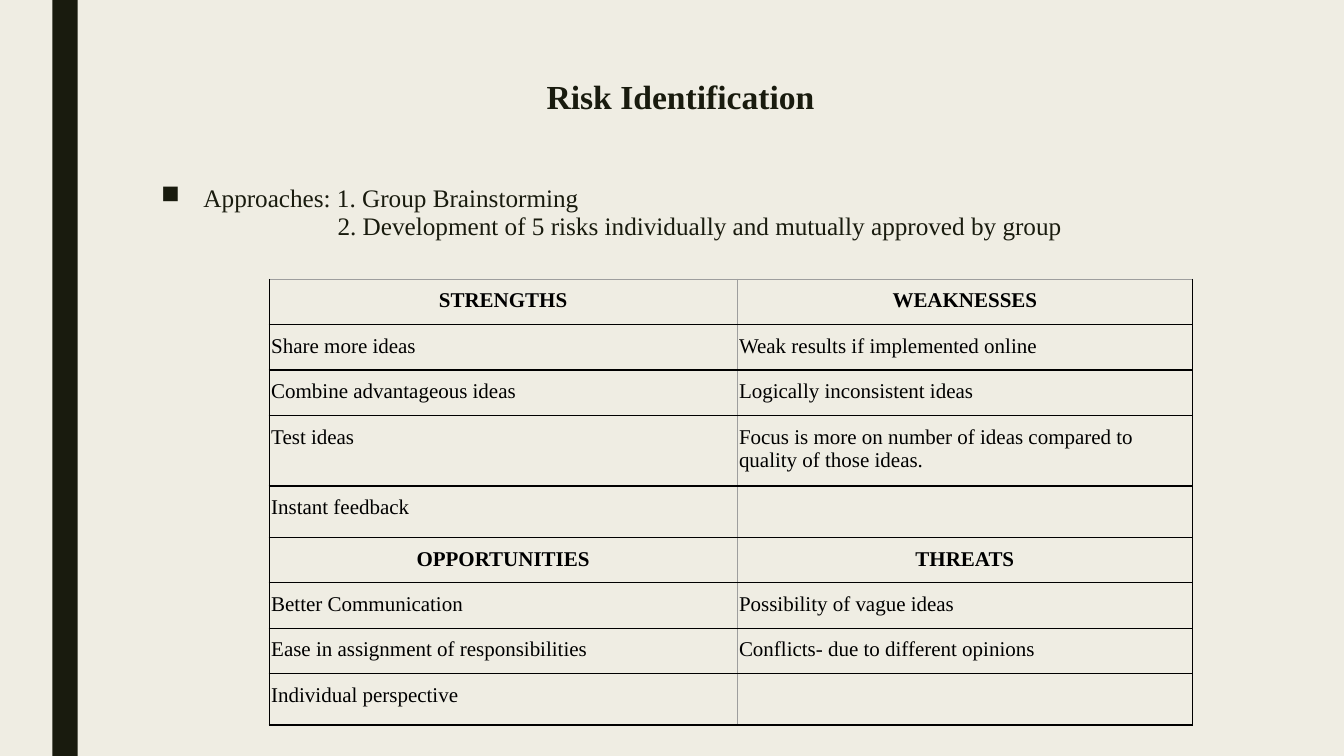
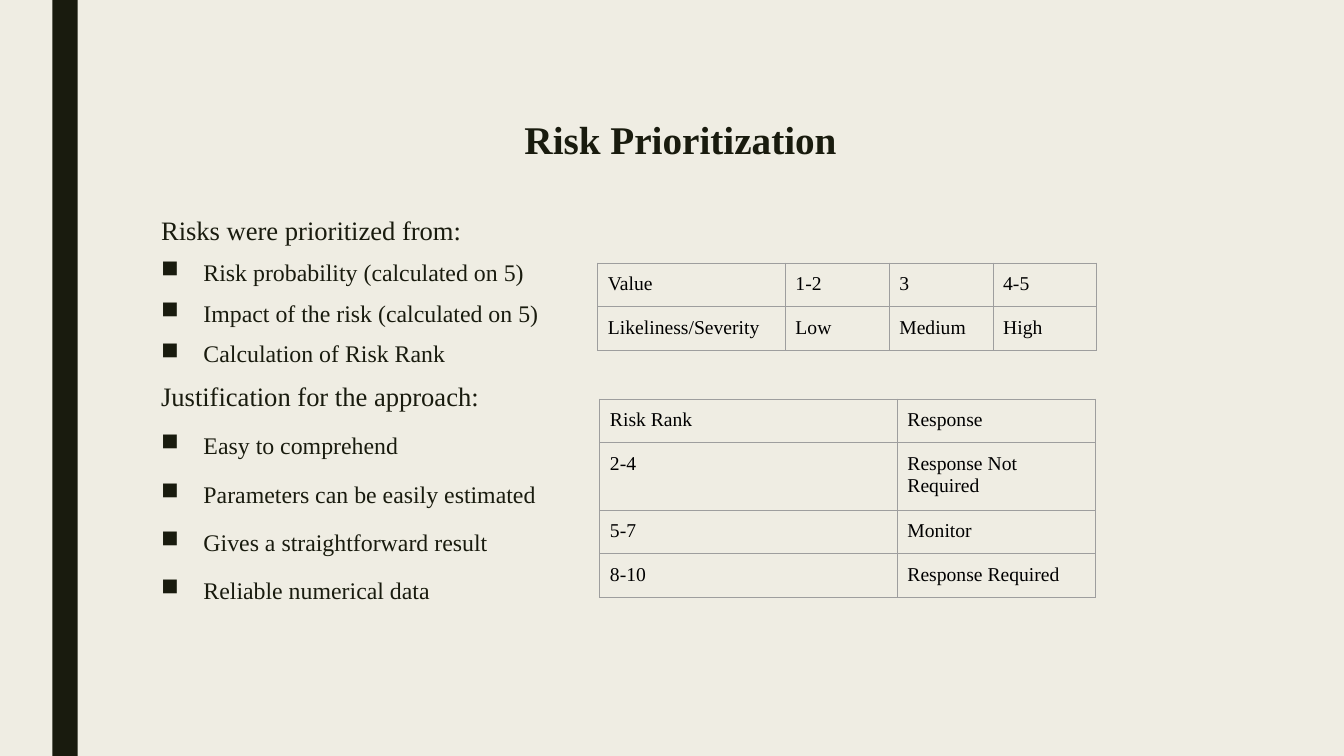
from dataclasses import dataclass

from lxml import etree
from pptx import Presentation, util as u
from pptx.dml.color import RGBColor
from pptx.enum import shapes, text
from pptx.oxml import ns


@dataclass(frozen=True)
class Theme:
    font: str = "Times New Roman"
    paper: str = "EFEDE3"
    ink: str = "191B0E"
    black: str = "000000"
    rule: str = "9E9E9E"
    approach: int = 18
    lead: int = 19
    point: int = 17
    swot: int = 15
    scale: int = 14


THEME = Theme()
HANGING = 0.42
SWOT_HEADINGS = ("STRENGTHS", "WEAKNESSES", "OPPORTUNITIES", "THREATS")


def line(words, size, spacing, before=0, bullet=False, indent=0):
    return dict(words=words, size=size, spacing=spacing, before=before,
                bullet=bullet, indent=indent)


def lead(words, before=12):
    return line(words, THEME.lead, 0.84, before)


def points(spacing, *items):
    return [line(item, THEME.point, spacing, 12, bullet=True) for item in items]


SLIDES = [
    dict(
        title="Risk Identification", title_top=0.75, title_size=24,
        body_box=(1.5, 1.78, 10.5, 0.8),
        body=[
            line("Approaches: 1. Group Brainstorming", THEME.approach, 0.94, bullet=True),
            line("2. Development of 5 risks individually and mutually approved by group",
                 THEME.approach, 0.94, indent=1.75),
        ],
        tables=[dict(
            at=(2.67, 2.77), columns=(4.64, 4.52),
            heights=(0.44, 0.44, 0.44, 0.67, 0.51, 0.44, 0.44, 0.44, 0.51),
            size=THEME.swot, side=0.02, frame=THEME.black,
            rows=[
                ("STRENGTHS", "WEAKNESSES"),
                ("Share more ideas", "Weak results if implemented online"),
                ("Combine advantageous ideas", "Logically inconsistent ideas"),
                ("Test ideas", "Focus is more on number of ideas compared to "
                               "quality of those ideas."),
                ("Instant feedback", ""),
                ("OPPORTUNITIES", "THREATS"),
                ("Better Communication", "Possibility of vague ideas"),
                ("Ease in assignment of responsibilities",
                 "Conflicts- due to different opinions"),
                ("Individual perspective", ""),
            ])],
    ),
    dict(
        title="Risk Prioritization", title_top=1.15, title_size=28,
        body_box=(1.5, 2.12, 4.3, 4.2),
        body=[
            lead("Risks were prioritized from:", before=0),
            *points(0.84, "Risk probability (calculated on 5)",
                    "Impact of the risk (calculated on 5)",
                    "Calculation of Risk Rank"),
            lead("Justification for the approach:"),
            *points(1.1, "Easy to comprehend", "Parameters can be easily estimated",
                    "Gives a straightforward result", "Reliable numerical data"),
        ],
        tables=[
            dict(at=(5.93, 2.61), columns=(1.86, 1.03, 1.03, 1.03), heights=(0.42, 0.42),
                 size=THEME.scale, side=0.1, frame=THEME.rule,
                 rows=[("Value", "1-2", "3", "4-5"),
                       ("Likeliness/Severity", "Low", "Medium", "High")]),
            dict(at=(5.95, 3.96), columns=(2.95, 1.97), heights=(0.42, 0.64, 0.42, 0.42),
                 size=THEME.scale, side=0.1, frame=THEME.rule,
                 rows=[("Risk Rank", "Response"), ("2-4", "Response Not Required"),
                       ("5-7", "Monitor"), ("8-10", "Response Required")]),
        ],
    ),
]


def rgb(colour):
    return RGBColor.from_string(colour)


def set_font(paragraph, size, colour, bold=False):
    font = paragraph.font
    font.name, font.size, font.bold = THEME.font, u.Pt(size), bold
    font.color.rgb = rgb(colour)


def add_text_frame(slide, box):
    frame = slide.shapes.add_textbox(*map(u.Inches, box)).text_frame
    frame.word_wrap = True
    return frame


def add_band(slide):
    slide.background.fill.solid()
    slide.background.fill.fore_color.rgb = rgb(THEME.paper)
    band = slide.shapes.add_shape(shapes.MSO_SHAPE.RECTANGLE, u.Inches(0.52), 0,
                                  u.Inches(0.25), u.Inches(7.5))
    band.shadow.inherit = False
    band.fill.solid()
    band.fill.fore_color.rgb = rgb(THEME.ink)
    band.line.fill.background()


def add_title(slide, title, top, size):
    heading = add_text_frame(slide, (1.5, top, 10.5, 0.6)).paragraphs[0]
    heading.text = title
    heading.alignment = text.PP_ALIGN.CENTER
    heading.line_spacing = 0.89
    set_font(heading, size, THEME.ink, bold=True)


def add_bullet(properties):
    colour = etree.SubElement(properties, ns.qn("a:buClr"))
    etree.SubElement(colour, ns.qn("a:srgbClr"), val=THEME.ink)
    etree.SubElement(properties, ns.qn("a:buChar"), char="■")


def add_body(slide, box, body):
    frame = add_text_frame(slide, box)
    for index, entry in enumerate(body):
        paragraph = frame.add_paragraph() if index else frame.paragraphs[0]
        paragraph.text = entry["words"]
        paragraph.line_spacing = entry["spacing"]
        paragraph.space_before = u.Pt(entry["before"])
        properties = paragraph._p.get_or_add_pPr()
        margin = HANGING if entry["bullet"] else entry["indent"]
        properties.set("marL", str(u.Inches(margin)))
        if entry["bullet"]:
            properties.set("indent", str(-u.Inches(HANGING)))
            add_bullet(properties)
        set_font(paragraph, entry["size"], THEME.ink)


def set_borders(cell, colours):
    properties = cell._tc.get_or_add_tcPr()
    for index, (side, colour) in enumerate(zip("LRTB", colours)):
        width = u.Pt(1 if colour == THEME.black else 0.75)
        border = etree.Element(ns.qn(f"a:ln{side}"), w=str(width))
        fill = etree.SubElement(border, ns.qn("a:solidFill"))
        etree.SubElement(fill, ns.qn("a:srgbClr"), val=colour)
        properties.insert(index, border)


def add_grid(slide, at, columns, heights, size, side, frame, rows):
    grid = slide.shapes.add_table(
        len(rows), len(columns), *map(u.Inches, (*at, sum(columns), sum(heights)))).table
    grid.first_row = grid.horz_banding = False
    for column, width in zip(grid.columns, columns):
        column.width = u.Inches(width)
    for row, height in zip(grid.rows, heights):
        row.height = u.Inches(height)
    last = len(columns) - 1
    for r, row in enumerate(rows):
        for c, words in enumerate(row):
            cell = grid.cell(r, c)
            cell.margin_left = cell.margin_right = u.Inches(side)
            cell.margin_top = cell.margin_bottom = u.Inches(0.1)
            cell.fill.background()
            set_borders(cell, (THEME.rule if c else frame,
                               frame if c == last else THEME.rule,
                               frame if r else THEME.rule, frame))
            paragraph = cell.text_frame.paragraphs[0]
            paragraph.text = words
            heading = words in SWOT_HEADINGS
            if heading:
                paragraph.alignment = text.PP_ALIGN.CENTER
            set_font(paragraph, size, THEME.black, bold=heading)


def main():
    deck = Presentation()
    deck.slide_width, deck.slide_height = u.Inches(13.33), u.Inches(7.5)
    for content in SLIDES:
        slide = deck.slides.add_slide(deck.slide_layouts[6])
        add_band(slide)
        add_title(slide, content["title"], content["title_top"], content["title_size"])
        add_body(slide, content["body_box"], content["body"])
        for table in content["tables"]:
            add_grid(slide, **table)
    deck.save("out.pptx")


if __name__ == "__main__":
    main()
